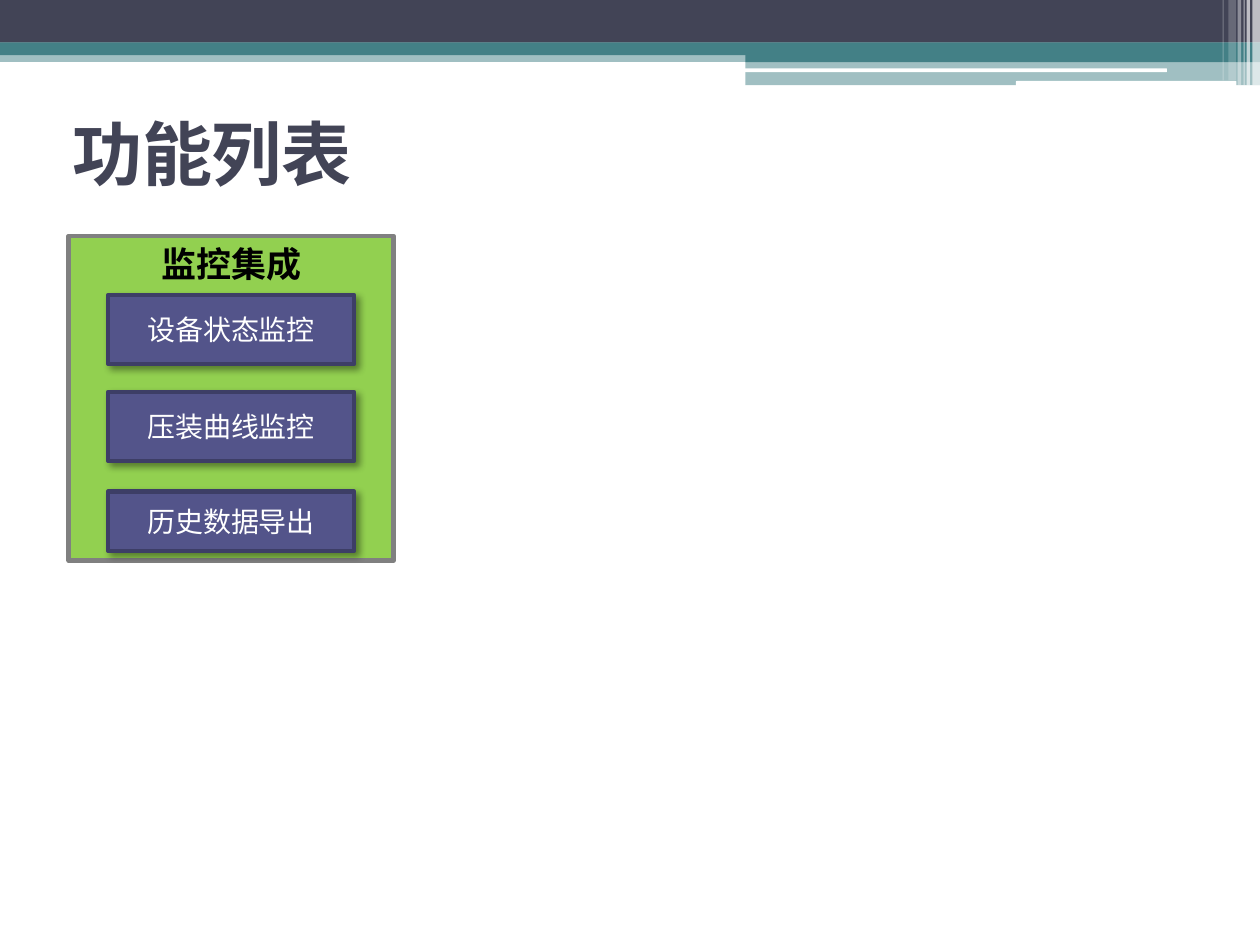
from dataclasses import dataclass

from lxml.etree import SubElement
from pptx import Presentation
from pptx.dml.color import RGBColor
from pptx.enum.shapes import MSO_SHAPE
from pptx.enum.text import MSO_ANCHOR, PP_ALIGN
from pptx.oxml.ns import qn
from pptx.util import Pt


@dataclass(frozen=True)
class Theme:
    font: str = "Noto Sans CJK SC"
    dark: str = "424456"
    teal: str = "438086"
    white: str = "FFFFFF"
    black: str = "000000"
    panel: str = "92D050"
    panel_line: str = "808080"
    button: str = "53548A"
    button_line: str = "3D3E66"
    title_size: float = 40
    heading_size: float = 20
    button_size: float = 16


def set_text(sp, text, *, font, size, color, bold=False,
             align=PP_ALIGN.LEFT, anchor=MSO_ANCHOR.MIDDLE):
    tf = sp.text_frame
    tf.word_wrap = True
    tf.vertical_anchor = anchor
    p = tf.paragraphs[0]
    p.alignment = align
    r = p.add_run()
    r.text = text
    r.font.name, r.font.size, r.font.bold = font, Pt(size), bold
    r.font.color.rgb = RGBColor.from_string(color)
    SubElement(r.font._element, qn("a:ea"), typeface=font)


class SlideBuilder:
    def __init__(self, slide, theme):
        self.slide, self.theme = slide, theme

    def title(self, text, x, y, w, h):
        sp = self.slide.shapes.title
        sp.left, sp.top, sp.width, sp.height = map(Pt, (x, y, w, h))
        t = self.theme
        set_text(sp, text, font=t.font, size=t.title_size, color=t.dark, bold=True)

    def box(self, x, y, w, h, fill, *, opacity=100, line=None, line_width=0,
            shape=MSO_SHAPE.RECTANGLE):
        sp = self.slide.shapes.add_shape(shape, *map(Pt, (x, y, w, h)))
        sp.shadow.inherit = False
        sp.fill.solid()
        sp.fill.fore_color.rgb = RGBColor.from_string(fill)
        if opacity < 100:
            color = sp._element.spPr.find(qn("a:solidFill"))[0]
            SubElement(color, qn("a:alpha"), val=str(opacity * 1000))
        if line:
            sp.line.color.rgb = RGBColor.from_string(line)
            sp.line.width = Pt(line_width)
        else:
            sp.line.fill.background()
        return sp

    def panel(self, heading, x, y, w, h):
        t = self.theme
        sp = self.box(x, y, w, h, t.panel, line=t.panel_line, line_width=2.75)
        set_text(sp, heading, font=t.font, size=t.heading_size, color=t.black,
                 bold=True, align=PP_ALIGN.CENTER, anchor=MSO_ANCHOR.TOP)

    def button(self, text, x, y, w, h):
        t = self.theme
        sp = self.box(x, y, w, h, t.button, line=t.button_line, line_width=2.5)
        self.drop_shadow(sp)
        set_text(sp, text, font=t.font, size=t.button_size, color=t.white,
                 align=PP_ALIGN.CENTER)

    def drop_shadow(self, sp):
        effects = sp._element.spPr.find(qn("a:effectLst"))
        shadow = SubElement(effects, qn("a:outerShdw"), blurRad=str(Pt(4)),
                            dist=str(Pt(3)), dir=str(45 * 60000),
                            algn="tl", rotWithShape="0")
        color = SubElement(shadow, qn("a:srgbClr"), val=self.theme.black)
        SubElement(color, qn("a:alpha"), val="40000")


def main():
    prs = Presentation()
    prs.slide_width, prs.slide_height = Pt(720), Pt(540)
    theme = Theme()
    s = SlideBuilder(prs.slides.add_slide(prs.slide_layouts[5]), theme)

    # Header bands: x, y, width, height, colour, opacity
    for x, y, w, h, color, opacity in (
        (0, 28.8, 720, 6.6, theme.teal, 50),
        (0, 0, 720, 24.4, theme.dark, 100),
        (0, 24.3, 720, 7.2, theme.teal, 100),
        (426, 28.3, 294, 7.2, theme.teal, 100),
        (426, 35.3, 294, 13.4, theme.teal, 50),
    ):
        s.box(x, y, w, h, color, opacity=opacity)

    # White rules cut into the header
    for x, y, w, h in ((425.5, 39.1, 241.3, 2.2), (580.5, 46.3, 126, 2.9)):
        s.box(x, y, w, h, theme.white, shape=MSO_SHAPE.ROUNDED_RECTANGLE)

    # Translucent stripes at the right edge: x, width, height, opacity
    for x, w, h, opacity in (
        (715.6, 4.4, 49, 65), (712.3, 2, 49, 65), (710.6, 0.7, 49, 60),
        (707.2, 2, 49, 40), (702, 4.3, 46, 20), (698.6, 0.7, 46, 30),
    ):
        s.box(x, 0, w, h, theme.white, opacity=opacity)

    # Title
    s.title("功能列表", 34, 45, 648, 84)

    # Function panel with its entries
    s.panel("监控集成", 39.4, 134.9, 185.5, 185.5)
    for text, y, h in (("设备状态监控", 168.6, 39.4),
                       ("压装曲线监控", 224, 39.4),
                       ("历史数据导出", 280.8, 34)):
        s.button(text, 61.8, y, 140.6, h)

    prs.save("out.pptx")


if __name__ == "__main__":
    main()
